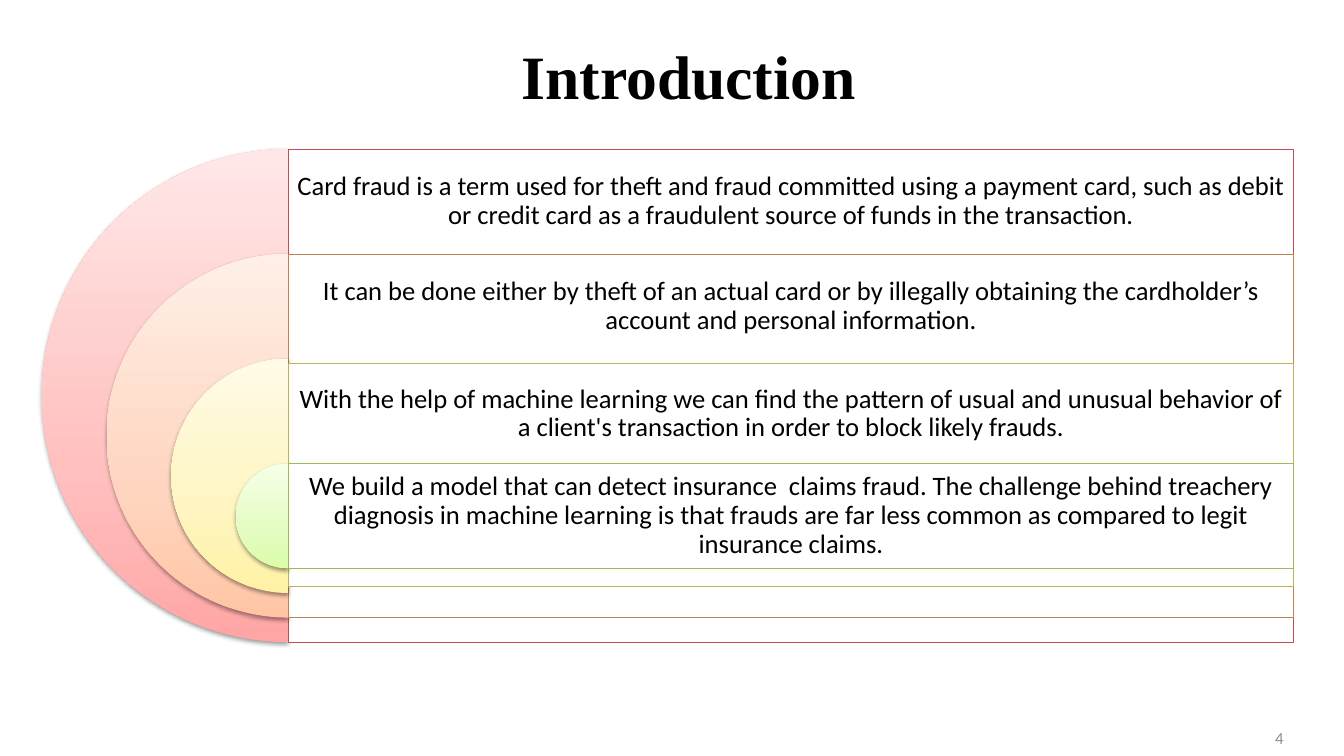
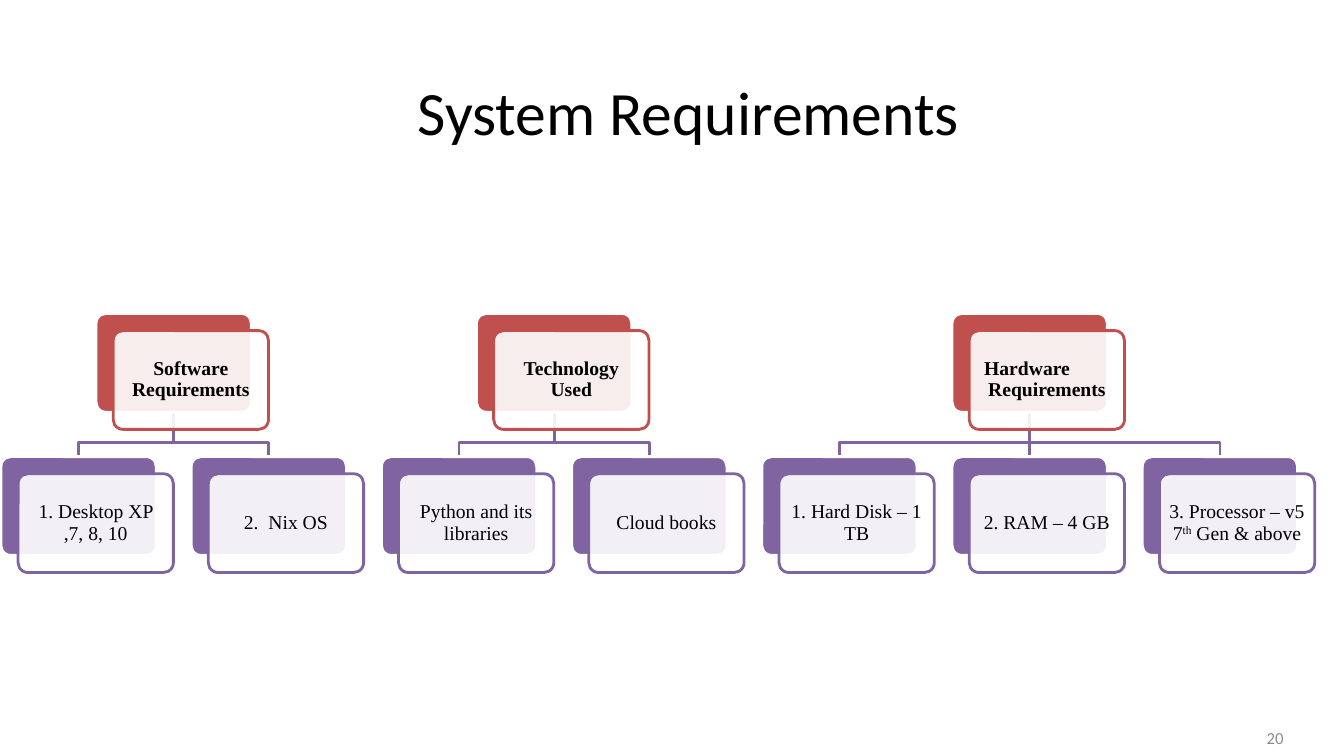
import copy

import pptx
import pptx.dml.color
import pptx.enum.shapes
import pptx.enum.text
import pptx.oxml.ns
import pptx.util
from lxml import etree
from pptx.util import Inches

COLORS = {
    "text": "000000", "number": "8C8C8C", "white": "FFFFFF",
    "root": "C0504D", "leaf": "8064A2",
}
SERIF, SANS = "Times New Roman", "Calibri"
SHAPES = pptx.enum.shapes.MSO_SHAPE
ALIGN = pptx.enum.text.PP_ALIGN
qn = pptx.oxml.ns.qn


def write(frame, text, size=14, font=SERIF, color=COLORS["text"], bold=False,
          align=ALIGN.CENTER, spacing=None, margins=(0.1, 0.05, 0.1, 0.05),
          left_indent=0, first_indent=0):
    """Fill a frame; a newline breaks the line, ^ surrounds superscript."""
    frame.word_wrap = True
    frame.vertical_anchor = pptx.enum.text.MSO_ANCHOR.MIDDLE
    (frame.margin_left, frame.margin_top,
     frame.margin_right, frame.margin_bottom) = map(Inches, margins)
    paragraph = frame.paragraphs[0]
    paragraph.alignment = align
    paragraph.line_spacing = spacing
    if left_indent:
        properties = paragraph._p.get_or_add_pPr()
        properties.set("marL", str(Inches(left_indent)))
        properties.set("indent", str(Inches(first_indent)))
    for line_index, line in enumerate(text.split("\n")):
        if line_index:
            paragraph.add_line_break()
        for piece_index, piece in enumerate(line.split("^")):
            run = paragraph.add_run()
            run.text = piece
            run.font.size = pptx.util.Pt(size)
            run.font.name = font
            run.font.bold = bold
            run.font.color.rgb = pptx.dml.color.RGBColor.from_string(color)
            if piece_index % 2:
                run.font._element.set("baseline", "30000")


def paint(shape, fill=None, line=None, width=2, opacity=100):
    """Set fill and line, and remove the shadow."""
    shape.shadow.inherit = False
    if fill:
        shape.fill.solid()
        shape.fill.fore_color.rgb = pptx.dml.color.RGBColor.from_string(fill)
        if opacity < 100:
            rgb = shape._element.spPr.find(qn("a:solidFill")).find(qn("a:srgbClr"))
            etree.SubElement(rgb, qn("a:alpha"), val=str(opacity * 1000))
    else:
        shape.fill.background()
    if line:
        shape.line.color.rgb = pptx.dml.color.RGBColor.from_string(line)
        shape.line.width = pptx.util.Pt(width)
    else:
        shape.line.fill.background()


deck = pptx.Presentation()
deck.slide_width, deck.slide_height = Inches(13.33), Inches(7.5)

# Titles and page numbers
slides = []
for title_text, title_top, title_height, title_format, number in [
    ("Introduction", 0.23, 1.02, {"font": SERIF, "bold": True}, "4"),
    ("System Requirements", 0.47, 1.25, {"font": SANS}, "20"),
]:
    slide = deck.slides.add_slide(deck.slide_layouts[5])
    title = slide.shapes.title
    title.left, title.top = Inches(0.83), Inches(title_top)
    title.width, title.height = Inches(12), Inches(title_height)
    write(title.text_frame, title_text, size=44, **title_format)
    page_number = slide.shapes.add_textbox(
        Inches(9.72), Inches(7.12), Inches(3.11), Inches(0.4))
    write(page_number.text_frame, number, size=12, font=SANS,
          color=COLORS["number"], align=ALIGN.RIGHT)
    slides.append(slide)
introduction, requirements = slides

# Introduction: nested half discs, each with a framed statement
CENTER_X, FIRST_TOP, BAND = 2.86, 1.48, 1.04
OUTER, SHRINK = 4.89, 3.85 / 3
# statement, frame top, frame height, text height, line, gradient
statements = [
    ("Card fraud is a term used for theft and fraud committed using a payment card, "
     "such as debit or credit card as a fraudulent source of funds in the transaction.",
     1.48, 4.89, BAND, "C0504D", ("FFA6A5", "FFC0BF", "FFE7E7")),
    ("It can be done either by theft of an actual card or by illegally obtaining "
     "the cardholder’s account and personal information.",
     2.52, 3.61, BAND, "BE8351", ("FFC5A5", "FFD5BF", "FFEFE7")),
    ("With the help of machine learning we can find the pattern of usual and unusual "
     "behavior of a client's transaction in order to block likely frauds.",
     3.61, 2.21, 0.99, "BDB255", ("FFF2A5", "FEF5C0", "FFFBE7")),
    ("We build a model that can detect insurance  claims fraud. The challenge behind "
     "treachery diagnosis in machine learning is that frauds are far less common as "
     "compared to legit insurance claims.",
     4.6, 1.04, BAND, "9BBB59", ("DAFDA7", "E4FCC2", "F5FFE7")),
]
for index, (statement, top, height, text_height, line, gradient) in enumerate(statements):
    diameter = OUTER - index * SHRINK
    disc = introduction.shapes.add_shape(
        SHAPES.PIE, Inches(CENTER_X - diameter / 2), Inches(FIRST_TOP + index * BAND),
        Inches(diameter), Inches(diameter))
    disc.adjustments[0], disc.adjustments[1] = 54, 162
    paint(disc)
    disc.fill.gradient()
    disc.fill.gradient_angle = 90
    stop_list = disc._element.spPr.find(qn("a:gradFill")).find(qn("a:gsLst"))
    stop_list.append(copy.deepcopy(stop_list[-1]))
    for stop, position, color in zip(disc.fill.gradient_stops, (0, 0.35, 1), gradient):
        stop.position = position
        stop.color.rgb = pptx.dml.color.RGBColor.from_string(color)
    shadow = etree.SubElement(
        disc._element.spPr.find(qn("a:effectLst")), qn("a:outerShdw"),
        blurRad="40000", dist="20000", dir="5400000", rotWithShape="0")
    shadow_color = etree.SubElement(shadow, qn("a:srgbClr"), val=COLORS["text"])
    etree.SubElement(shadow_color, qn("a:alpha"), val="38000")

    panel = introduction.shapes.add_shape(
        SHAPES.RECTANGLE, Inches(CENTER_X), Inches(top), Inches(9.97), Inches(height))
    paint(panel, COLORS["white"], line, width=0.75, opacity=90)
    write(panel.text_frame, statement, size=19, font=SANS, spacing=0.9,
          margins=(0.08, 0.08, 0.08, height - text_height + 0.08))

# System requirements: three trees of stacked cards
CARD_W, CARD_H = 1.54, 0.98
ROOT_TOP, BEND_Y, LEAF_TOP = 3.11, 4.39, 4.53
FIRST_LEFT, PITCH = 0.01, 11.32 / 6
trees = [
    ("Software Requirements", {}, ["1. Desktop XP ,7, 8, 10", "2.  Nix OS"]),
    ("Technology Used", {}, ["Python and its libraries", "Cloud books"]),
    ("Hardware\nRequirements",
     {"align": ALIGN.LEFT, "left_indent": 0.1, "first_indent": -0.04},
     ["1. Hard Disk – 1 TB", "2. RAM – 4 GB", "3. Processor – v5 7^th^ Gen & above"]),
]
cards, branches = [], []
leaf_left = FIRST_LEFT
for root_text, root_format, leaves in trees:
    root_left = leaf_left + (len(leaves) - 1) * PITCH / 2
    cards.append((root_text, root_left, ROOT_TOP, COLORS["root"],
                  {"bold": True, **root_format}))
    for leaf_text in leaves:
        cards.append((leaf_text, leaf_left, LEAF_TOP, COLORS["leaf"], {}))
        branches.append((root_left + CARD_W / 2, leaf_left + CARD_W / 2))
        leaf_left += PITCH

# Branches lie behind the cards
for root_x, leaf_x in branches:
    start_y = ROOT_TOP + CARD_H
    if abs(root_x - leaf_x) < 0.01:
        branch = requirements.shapes.add_connector(
            pptx.enum.shapes.MSO_CONNECTOR.STRAIGHT,
            Inches(root_x), Inches(start_y), Inches(root_x), Inches(LEAF_TOP))
        branch.line.color.rgb = pptx.dml.color.RGBColor.from_string(COLORS["leaf"])
        branch.line.width = pptx.util.Pt(2)
        etree.SubElement(branch._element.spPr, qn("a:effectLst"))
    else:
        outline = requirements.shapes.build_freeform(Inches(root_x), Inches(start_y))
        outline.add_line_segments(
            [(Inches(x), Inches(y)) for x, y in
             ((root_x, BEND_Y), (leaf_x, BEND_Y), (leaf_x, LEAF_TOP))], close=False)
        paint(outline.convert_to_shape(), line=COLORS["leaf"])

# Each card is a solid back and a pale front that holds the text
for card_text, left, top, color, card_format in cards:
    for offset, fill, line, opacity in [
        (0, color, COLORS["white"], 100),
        (0.17, COLORS["white"], color, 90),
    ]:
        card = requirements.shapes.add_shape(
            SHAPES.ROUNDED_RECTANGLE, Inches(left + offset), Inches(top + offset),
            Inches(CARD_W), Inches(CARD_H))
        card.adjustments[0] = 0.1
        paint(card, fill, line, opacity=opacity)
    write(card.text_frame, card_text, spacing=0.9, margins=(0.06,) * 4, **card_format)

deck.save("out.pptx")
